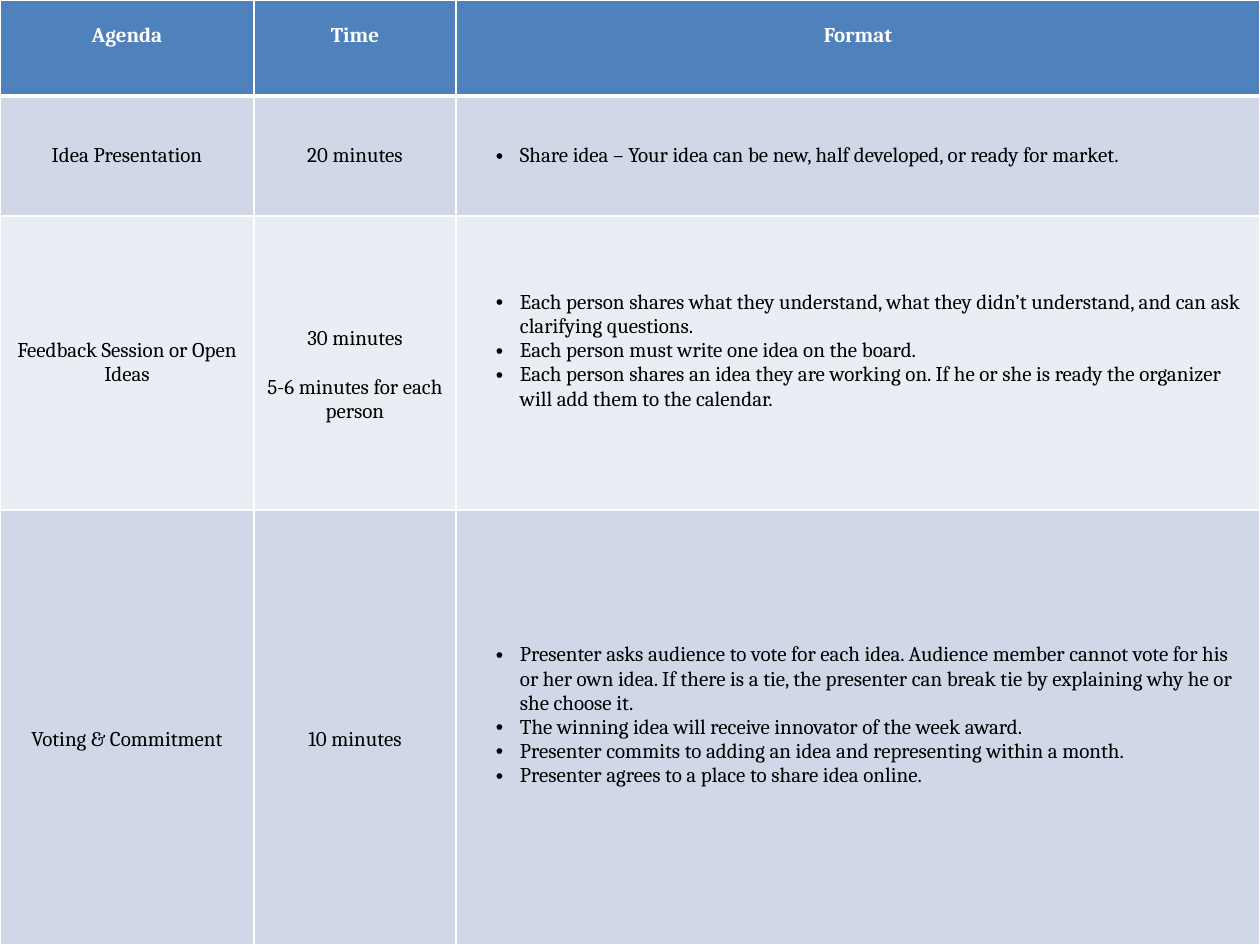
from lxml.etree import SubElement
from pptx import Presentation
from pptx.dml.color import RGBColor
from pptx.enum.text import MSO_ANCHOR as Anchor, PP_ALIGN as Align
from pptx.oxml import parse_xml
from pptx.oxml.ns import nsdecls, qn
from pptx.util import Emu, Pt

WHITE = RGBColor(0xFF, 0xFF, 0xFF)
BLACK = RGBColor(0x00, 0x00, 0x00)
BLUE = RGBColor(0x4F, 0x81, 0xBD)
BAND_DARK = RGBColor(0xD0, 0xD8, 0xE8)
BAND_LIGHT = RGBColor(0xE9, 0xED, 0xF4)

SLIDE_WIDTH, SLIDE_HEIGHT = 1260, 945
COLUMN_WIDTHS = [254, 202, 804]
ROW_HEIGHTS = [96, 120, 294, 435]
LINE = 24
SIDE_MARGIN = 9
BULLET_LEFT, BULLET_HANG = 55, 24

HEADER_FONT = {"name": "Cambria", "size": Pt(12), "bold": True}
BODY_FONT = {"name": "Cambria", "size": Pt(12), "bold": False}

HEADERS = ["Agenda", "Time", "Format"]
AGENDA = [
    (
        ["Idea Presentation"],
        ["20 minutes"],
        ["Share idea – Your idea can be new, half developed, or ready for market."],
    ),
    (
        ["Feedback Session or Open Ideas"],
        ["30 minutes", "5-6 minutes for each person"],
        [
            "Each person shares what they understand, what they didn’t understand, "
            "and can ask clarifying questions.",
            "Each person must write one idea on the board.",
            "Each person shares an idea they are working on. If he or she is ready "
            "the organizer will add them to the calendar.",
        ],
    ),
    (
        ["Voting & Commitment"],
        ["10 minutes"],
        [
            "Presenter asks audience to vote for each idea. Audience member cannot "
            "vote for his or her own idea. If there is a tie, the presenter can break "
            "tie by explaining why he or she choose it.",
            "The winning idea will receive innovator of the week award.",
            "Presenter commits to adding an idea and representing within a month.",
            "Presenter agrees to a place to share idea online.",
        ],
    ),
]
CELL_PADDING = {
    (2, 1): (LINE, 0),
    (2, 2): (0, LINE),
    (3, 0): (LINE, 0),
    (3, 1): (LINE, 0),
    (3, 2): (0, LINE),
}


def px(length):
    return Emu(round(length * 914400 / 126))


def apply_format(target, values):
    for name, value in values.items():
        setattr(target, name, value)


def set_borders(cell, top, bottom):
    properties = cell._tc.get_or_add_tcPr()
    widths = {"lnL": 1, "lnR": 1, "lnT": top, "lnB": bottom}
    for position, (edge, width) in enumerate(widths.items()):
        border = parse_xml(
            f'<a:{edge} {nsdecls("a")} w="{Pt(width)}"><a:solidFill>'
            f'<a:srgbClr val="{WHITE}"/></a:solidFill></a:{edge}>'
        )
        properties.insert(position, border)


def add_bullet(para):
    properties = para._p.get_or_add_pPr()
    properties.set("marL", str(px(BULLET_LEFT)))
    properties.set("indent", str(-px(BULLET_HANG)))
    SubElement(properties, qn("a:buFont"), typeface="Arial")
    SubElement(properties, qn("a:buChar"), char="•")


def fill_cell(cell, lines, fill, font, color, align, anchor, padding, bulleted):
    top, bottom = padding
    apply_format(cell, {
        "margin_left": px(SIDE_MARGIN),
        "margin_right": px(SIDE_MARGIN),
        "margin_top": px(top),
        "margin_bottom": px(bottom),
        "vertical_anchor": anchor,
    })
    cell.fill.solid()
    cell.fill.fore_color.rgb = fill
    for index, line in enumerate(lines):
        para = cell.text_frame.paragraphs[0] if index == 0 else cell.text_frame.add_paragraph()
        para.alignment = align
        if bulleted:
            add_bullet(para)
        elif index:
            para.space_before = Pt(14)
        span = para.add_run()
        span.text = line
        apply_format(span.font, font)
        span.font.color.rgb = color


def add_agenda_table(page, left, top, width, height):
    frame = page.shapes.add_table(
        len(ROW_HEIGHTS), len(COLUMN_WIDTHS), px(left), px(top), px(width), px(height)
    )
    table = frame.table
    for column, column_width in zip(table.columns, COLUMN_WIDTHS):
        column.width = px(column_width)
    for row, row_height in zip(table.rows, ROW_HEIGHTS):
        row.height = px(row_height)

    for column, header in enumerate(HEADERS):
        cell = table.cell(0, column)
        fill_cell(cell, [header], BLUE, HEADER_FONT, WHITE, Align.CENTER,
                  Anchor.TOP, (LINE, 0), False)
        set_borders(cell, 1, 3)

    for row, entries in enumerate(AGENDA, start=1):
        fill = BAND_DARK if row % 2 else BAND_LIGHT
        for column, lines in enumerate(entries):
            cell = table.cell(row, column)
            bulleted = column == 2
            fill_cell(cell, lines, fill, BODY_FONT, BLACK,
                      Align.LEFT if bulleted else Align.CENTER, Anchor.MIDDLE,
                      CELL_PADDING.get((row, column), (0, 0)), bulleted)
            set_borders(cell, 3 if row == 1 else 1, 1)


def main():
    deck = Presentation()
    deck.slide_width, deck.slide_height = px(SLIDE_WIDTH), px(SLIDE_HEIGHT)
    page = deck.slides.add_slide(deck.slide_layouts[6])
    add_agenda_table(page, 0, 0, SLIDE_WIDTH, SLIDE_HEIGHT)
    deck.save("out.pptx")


if __name__ == "__main__":
    main()
